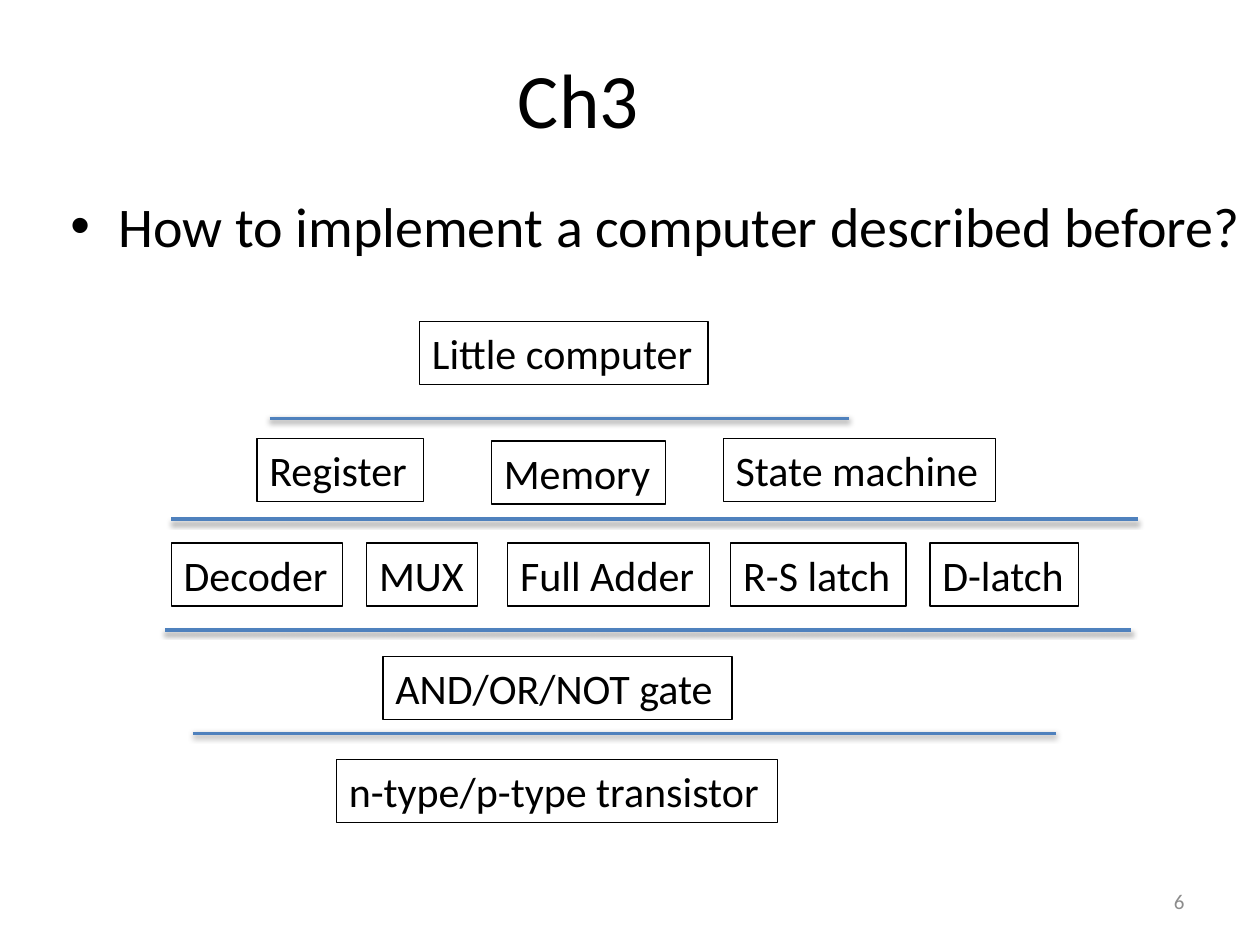
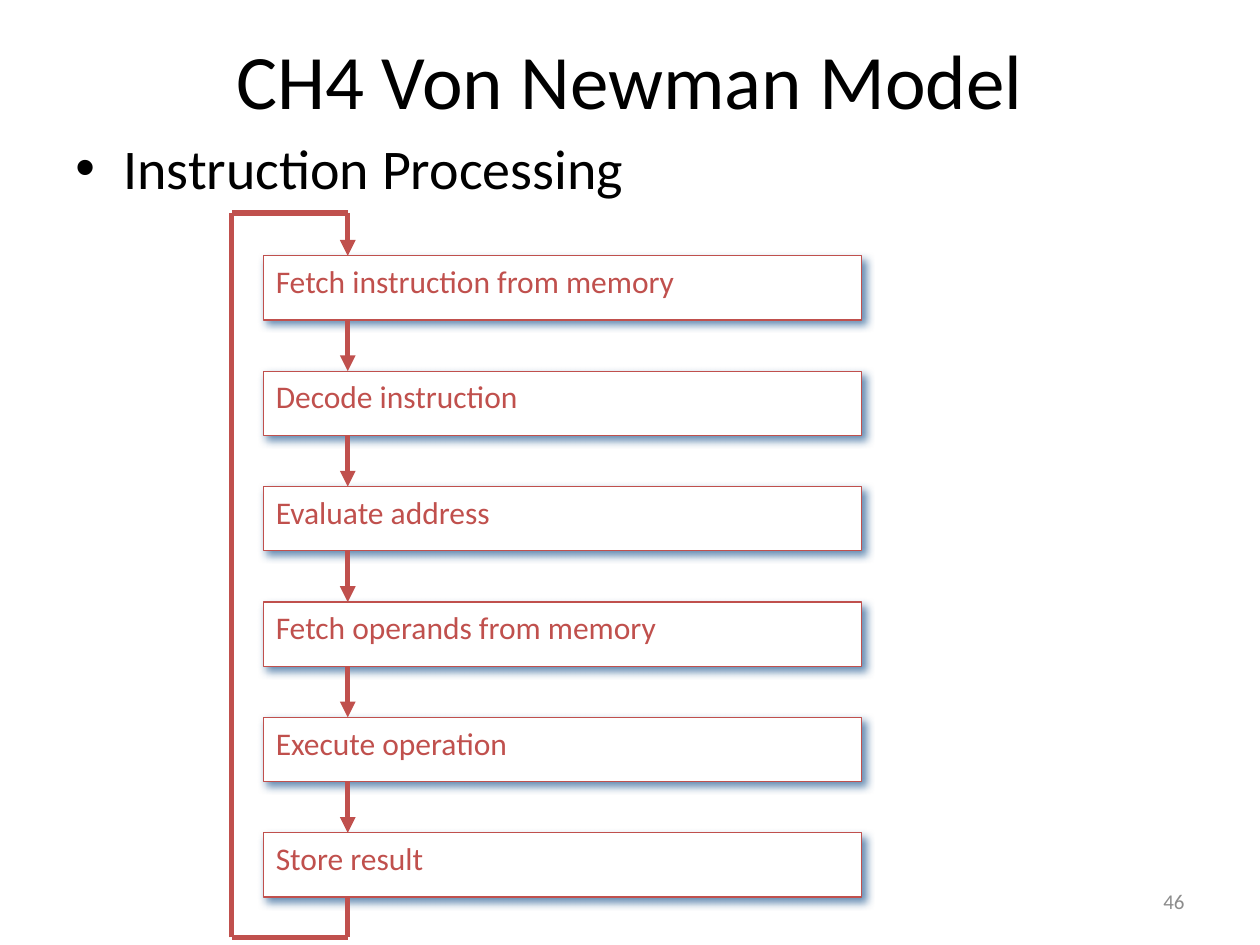
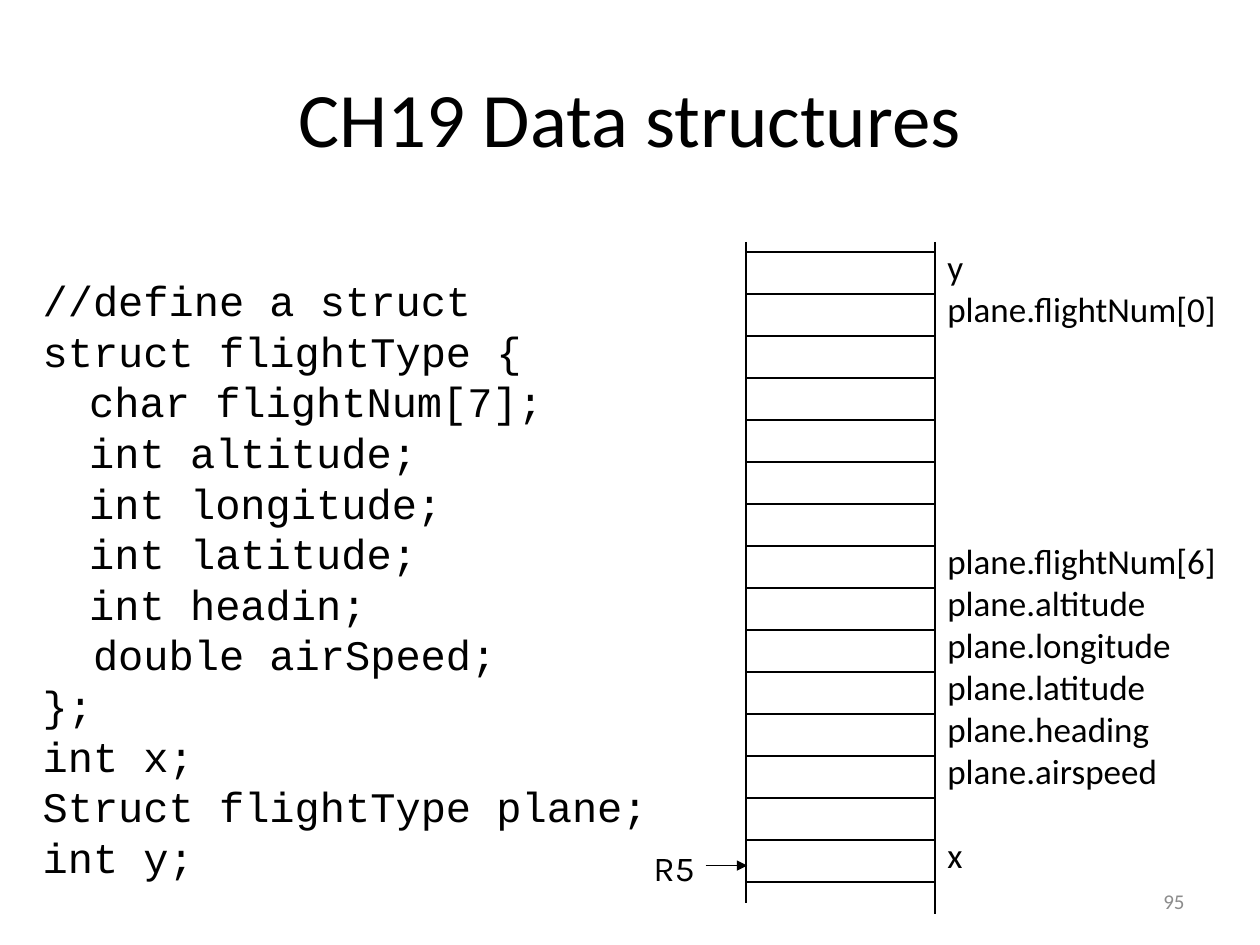
from dataclasses import dataclass
from itertools import pairwise

from lxml.etree import SubElement
from pptx import Presentation
from pptx.dml.color import RGBColor
from pptx.enum.shapes import MSO_CONNECTOR, MSO_SHAPE
from pptx.enum.text import MSO_ANCHOR, PP_ALIGN
from pptx.oxml.ns import qn
from pptx.util import Inches, Pt


@dataclass(frozen=True)
class Theme:
    """Colours, fonts, sizes and shadows shared by the slides."""
    ink: str = "000000"
    paper: str = "FFFFFF"
    blue: str = "4F81BD"
    red: str = "C0504D"
    grey: str = "8C8C8C"
    sans: str = "Calibri"
    mono: str = "Courier New"
    register: str = "Karla"
    title: int = 44
    body: int = 32
    block: int = 24
    label: int = 20
    step: int = 18
    number: int = 12
    hairline: float = 0.75
    divider: float = 2
    flow: float = 3
    divider_shadow: tuple = ("000000", 38, 3.1, 1.6, 90)
    step_shadow: tuple = ("336699", 75, 5, 3, 45)


THEME = Theme()
COLUMNS, ROWS = 10, 7.5


def place(*cells):
    """Turn grid columns and rows, one inch each, into lengths."""
    return [Inches(cell) for cell in cells]


def style(para, size, color=THEME.ink, font=THEME.sans, align=PP_ALIGN.LEFT):
    """Set the font and alignment of a paragraph."""
    para.alignment = align
    para.font.name = font
    para.font.size = Pt(size)
    para.font.color.rgb = RGBColor.from_string(color)


def cast_shadow(shape, shadow=None):
    """Replace the inherited shadow by the given one, or by none."""
    effects = SubElement(shape._element.spPr, qn("a:effectLst"))
    if shadow:
        color, alpha, blur, distance, angle = shadow
        outer = SubElement(effects, qn("a:outerShdw"), blurRad=str(Pt(blur)), dist=str(Pt(distance)),
                           dir=str(angle * 60000), algn="tl", rotWithShape="0")
        tint = SubElement(outer, qn("a:srgbClr"), val=color)
        SubElement(tint, qn("a:alpha"), val=str(alpha * 1000))


def add_text(page, area, lines, size, anchor=MSO_ANCHOR.TOP, **look):
    """Add a text box with one paragraph a line and return its paragraphs."""
    frame = page.shapes.add_textbox(*place(*area)).text_frame
    frame.word_wrap = True
    frame.vertical_anchor = anchor
    frame.text = "\n".join(lines)
    for para in frame.paragraphs:
        style(para, size, **look)
    return frame.paragraphs


def indent(para, left, first=0):
    """Set the left margin and first line indent of a paragraph."""
    properties = para._p.get_or_add_pPr()
    properties.set("marL", str(Inches(left)))
    properties.set("indent", str(Inches(first)))
    return properties


def add_bullet(page, left, top, width, text):
    """Add the bulleted body line."""
    para, = add_text(page, (left, top, width, 4.95), [text], THEME.body)
    properties = indent(para, 0.38, -0.38)
    bullet_font = properties.makeelement(qn("a:buFont"), {"typeface": "Arial"})
    bullet = properties.makeelement(qn("a:buChar"), {"char": "•"})
    properties.insert(0, bullet_font)
    properties.insert(1, bullet)


def add_box(page, area, text, size, color=THEME.ink, fill=None, shadow=None):
    """Add an outlined rectangle with left aligned text."""
    box = page.shapes.add_shape(MSO_SHAPE.RECTANGLE, *place(*area))
    if fill:
        box.fill.solid()
        box.fill.fore_color.rgb = RGBColor.from_string(fill)
    else:
        box.fill.background()
    box.line.color.rgb = RGBColor.from_string(color)
    box.line.width = Pt(THEME.hairline)
    cast_shadow(box, shadow)
    frame = box.text_frame
    frame.vertical_anchor = MSO_ANCHOR.TOP
    frame.text = text
    style(frame.paragraphs[0], size, color)


def add_line(page, start, end, color=THEME.ink, width=THEME.hairline, arrow=False, shadow=None):
    """Add a straight line, with an arrowhead at its end if wanted."""
    line = page.shapes.add_connector(MSO_CONNECTOR.STRAIGHT, *place(*start, *end))
    line.line.color.rgb = RGBColor.from_string(color)
    line.line.width = Pt(width)
    if arrow:
        SubElement(line.line._get_or_add_ln(), qn("a:tailEnd"), type="triangle")
    cast_shadow(line, shadow)


def add_page(deck, title, number, top, left=0.5):
    """Add a blank slide with its title and slide number."""
    page = deck.slides.add_slide(deck.slide_layouts[6])
    add_text(page, (left, top, 9, 1.25), [title], THEME.title, MSO_ANCHOR.MIDDLE, align=PP_ALIGN.CENTER)
    add_text(page, (7.17, 6.95, 2.33, 0.4), [str(number)], THEME.number, MSO_ANCHOR.MIDDLE,
             color=THEME.grey, align=PP_ALIGN.RIGHT)
    return page


def add_layers_page(deck):
    """Show the layers from transistors up to the computer."""
    page = add_page(deck, "Ch3", 6, 0.15, 0.09)
    add_bullet(page, 0.46, 1.47, 10.41, "How to implement a computer described before?")
    layers = [
        (2.55, [("Little computer", 3.33, 2.29)]),
        (3.48, [("Register", 2.04, 1.32), ("State machine", 5.74, 2.16)]),
        (3.5, [("Memory", 3.9, 1.38)]),
        (4.31, [("Decoder", 1.36, 1.36), ("MUX", 2.91, 0.88), ("Full Adder", 4.03, 1.6),
                ("R-S latch", 5.8, 1.39), ("D-latch", 7.38, 1.18)]),
        (5.21, [("AND/OR/NOT gate", 3.04, 2.77)]),
        (6.03, [("n-type/p-type transistor", 2.67, 3.5)]),
    ]
    for top, parts in layers:
        for text, left, width in parts:
            add_box(page, (left, top, width, 0.5), text, THEME.block)
    for left, right, y in [(2.14, 6.74, 3.32), (1.36, 9.03, 4.12), (1.31, 8.98, 5), (1.53, 8.38, 5.82)]:
        add_line(page, (left, y), (right, y), THEME.blue, THEME.divider, shadow=THEME.divider_shadow)


def add_cycle_page(deck):
    """Show the instruction cycle as a looped chain of steps."""
    page = add_page(deck, "CH4 Von Newman Model", 46, 0)
    add_bullet(page, 0.5, 1.01, 9, "Instruction Processing")
    steps = ["Fetch instruction from memory", "Decode instruction", "Evaluate address",
             "Fetch operands from memory", "Execute operation", "Store result"]
    height, shaft, loop_left, loop_top, loop_bottom = 0.51, 2.76, 1.84, 1.69, 7.44
    tops = [2.03 + 0.916 * index for index in range(len(steps))]
    flow = {"color": THEME.red, "width": THEME.flow}
    for top, step in zip(tops, steps):
        add_box(page, (2.09, top, 4.75, height), step, THEME.step, THEME.red, THEME.paper, THEME.step_shadow)
    for top, following in pairwise(tops):
        add_line(page, (shaft, top + height), (shaft, following), arrow=True, **flow)
    loop = [(shaft, tops[-1] + height), (shaft, loop_bottom), (loop_left, loop_bottom),
            (loop_left, loop_top), (shaft, loop_top), (shaft, tops[0])]
    for start, end in pairwise(loop):
        add_line(page, start, end, arrow=end == loop[-1], **flow)


def add_memory_page(deck):
    """Show a struct beside its layout in memory."""
    page = add_page(deck, "CH19 Data structures", 95, 0.3)
    code = [("//define a struct", 0), ("struct flightType {", 0), ("char flightNum[7];", 0.37),
            ("int altitude;", 0.37), ("int longitude;", 0.37), ("int latitude;", 0.37),
            ("int headin;", 0.37), ("double airSpeed;", 0.4), ("};", 0), ("int x;", 0),
            ("Struct flightType plane;", 0), ("int y;", 0)]
    paras = add_text(page, (0.24, 2.13, 5.54, 4.95), [text for text, _ in code], THEME.block, font=THEME.mono)
    for para, (_, left) in zip(paras, code):
        indent(para, left)
        para.line_spacing = Pt(28.9)

    left, right, top = 5.92, 7.42, 1.92
    add_line(page, (left, top), (left, 7.17))
    add_line(page, (right, top), (right, 7.25))
    for index in range(16):
        y = 2 + index / 3
        add_line(page, (left, y), (right, y))

    cells = {0: "y", 1: "plane.flightNum[0]", 7: "plane.flightNum[6]", 8: "plane.altitude",
             9: "plane.longitude", 10: "plane.latitude", 11: "plane.heading",
             12: "plane.airspeed", 14: "x"}
    row_height = 24
    paras = add_text(page, (right, 1.9, 2.44, 5.1), cells.values(), THEME.label)
    paras[0].line_spacing = Pt(row_height)
    for para, (above, row) in zip(paras[1:], pairwise(cells)):
        para.line_spacing = Pt(row_height)
        para.space_before = Pt(row_height * (row - above - 1))

    add_text(page, (5.05, 6.67, 0.6, 0.43), ["R5"], THEME.label, font=THEME.register, align=PP_ALIGN.CENTER)
    add_line(page, (5.6, 6.87), (5.93, 6.87), arrow=True)


def main():
    """Build and save the deck."""
    deck = Presentation()
    deck.slide_width, deck.slide_height = place(COLUMNS, ROWS)
    add_layers_page(deck)
    add_cycle_page(deck)
    add_memory_page(deck)
    deck.save("out.pptx")


if __name__ == "__main__":
    main()
